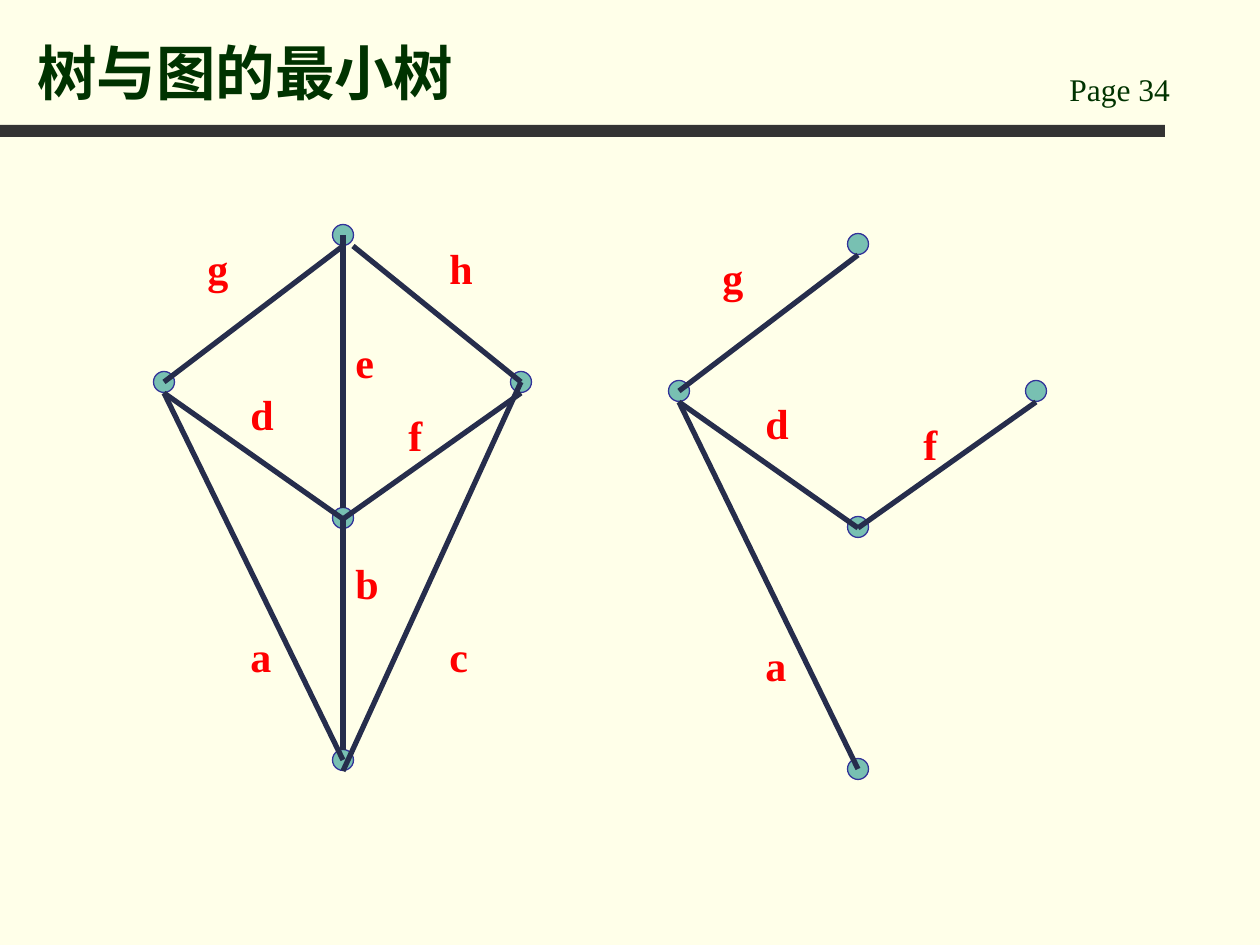
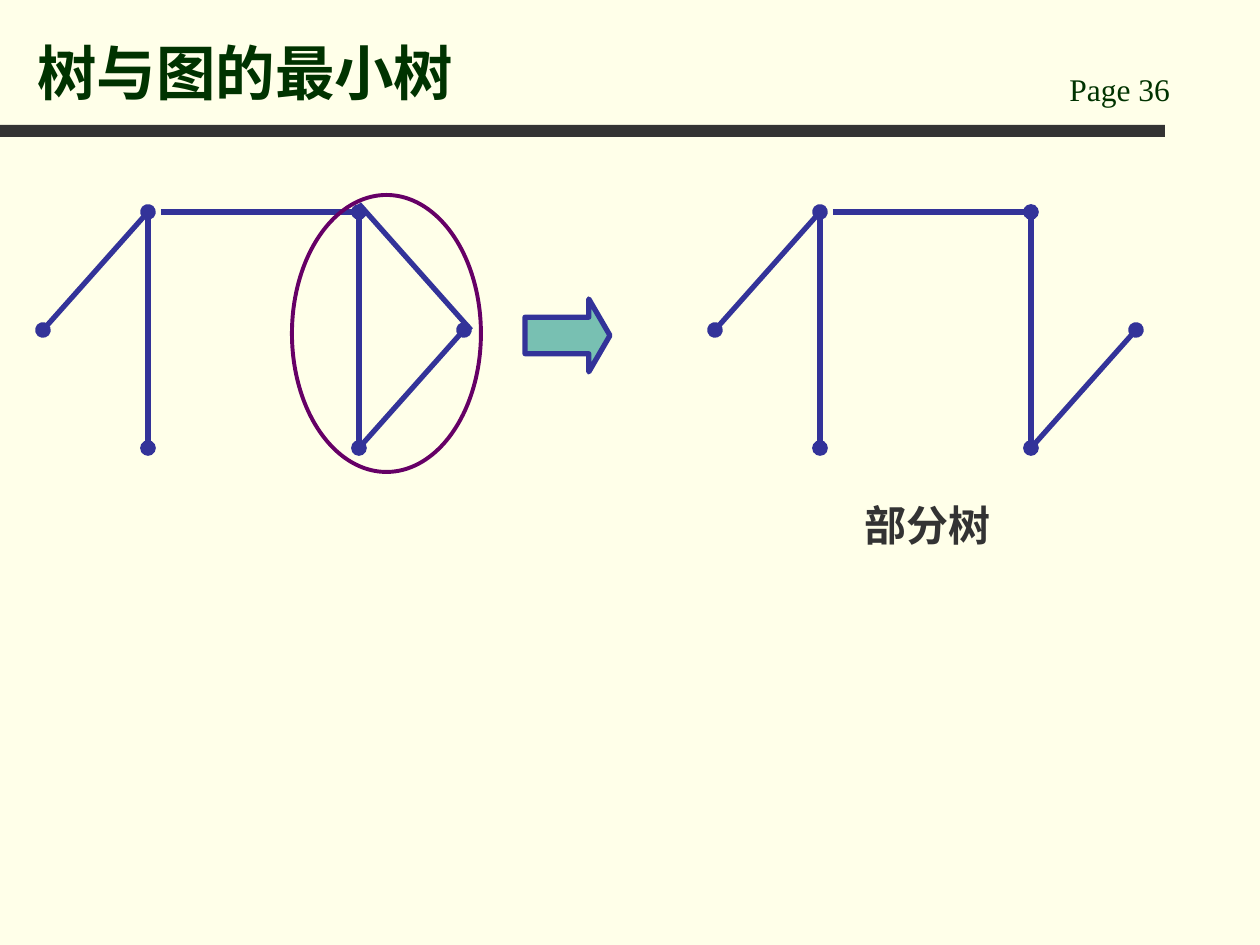
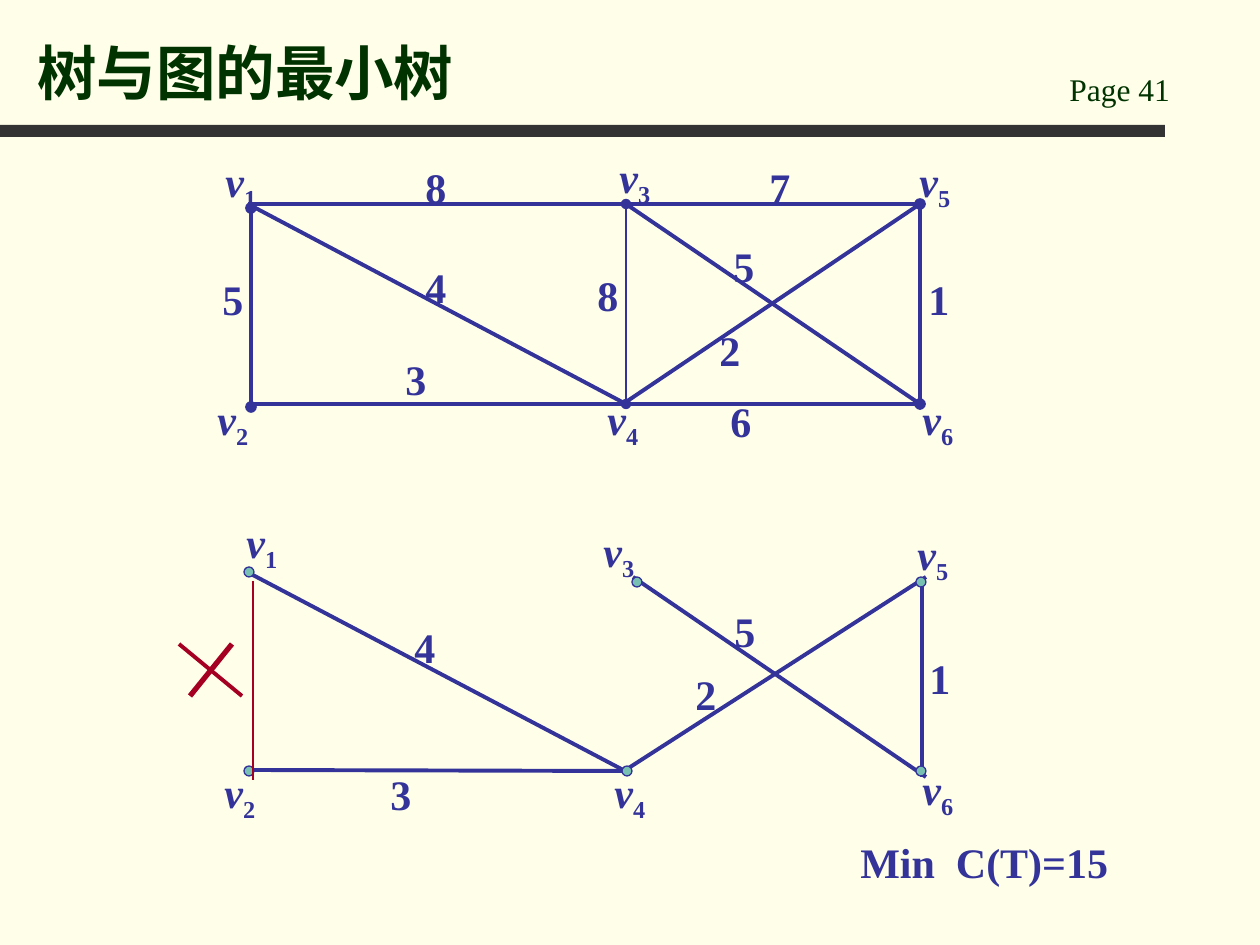
import pptx
import pptx.dml.color
import pptx.enum.shapes
import pptx.enum.text
import pptx.oxml.ns
import pptx.util
from lxml import etree

PX = 914400 / 126
FONT = "Times New Roman"
CREAM, CHARCOAL, GREEN = "FFFFE9", "333333", "003300"
TEAL, INDIGO, NAVY = "78C0B2", "333399", "262D4C"
RED, CRIMSON, PURPLE = "FF0000", "A50021", "660066"
SHAPE = pptx.enum.shapes.MSO_SHAPE
ALIGN = pptx.enum.text.PP_ALIGN
ANCHOR = pptx.enum.text.MSO_ANCHOR
FIT = pptx.enum.text.MSO_AUTO_SIZE


def emu(*lengths):
    return [round(length * PX) for length in lengths]


def rgb(hex_color):
    return pptx.dml.color.RGBColor.from_string(hex_color)


def add_child(parent, tag, **attributes):
    return etree.SubElement(parent, pptx.oxml.ns.qn(tag), attributes)


def add_figure(slide, preset, box, fill=None, outline=None, weight=0.75):
    figure = slide.shapes.add_shape(preset, *emu(*box))
    figure.shadow.inherit = False
    if fill:
        figure.fill.solid()
        figure.fill.fore_color.rgb = rgb(fill)
    else:
        figure.fill.background()
    if outline:
        figure.line.color.rgb = rgb(outline)
        figure.line.width = pptx.util.Pt(weight)
    else:
        figure.line.fill.background()
    return figure


def add_node(slide, x, y, diameter):
    box = (x - diameter / 2, y - diameter / 2, diameter, diameter)
    add_figure(slide, SHAPE.OVAL, box, TEAL, INDIGO)


def add_edge(slide, start, end, color, weight, dots=()):
    """Draw a line; dots names the ends ("head", "tail") that carry a round dot."""
    edge = slide.shapes.add_connector(
        pptx.enum.shapes.MSO_CONNECTOR.STRAIGHT, *emu(*start, *end))
    edge.line.color.rgb = rgb(color)
    edge.line.width = pptx.util.Pt(weight)
    for dot in dots:
        add_child(edge.line._get_or_add_ln(), f"a:{dot}End", type="oval")
    add_child(edge._element.spPr, "a:effectLst")


def add_label(slide, text, box, color, size=24, bold=True, wrap=True):
    label = slide.shapes.add_textbox(*emu(*box))
    frame = label.text_frame
    frame.word_wrap = wrap
    frame.auto_size = FIT.SHAPE_TO_FIT_TEXT
    paragraph = frame.paragraphs[0]
    paragraph.add_run().text = text
    paragraph.font.name = FONT
    paragraph.font.size = pptx.util.Pt(size)
    paragraph.font.bold = bold
    paragraph.font.color.rgb = rgb(color)
    return frame


def add_weight(slide, text, x, y):
    add_label(slide, text, (x, y, 47, 63), INDIGO, wrap=False)


def add_vertex_name(slide, number, x, y):
    frame = add_label(slide, "v", (x, y, 58, 63), INDIGO, wrap=False)
    paragraph = frame.paragraphs[0]
    paragraph.runs[0].font.italic = True
    subscript = paragraph.add_run()
    subscript.text = str(number)
    subscript._r.get_or_add_rPr().set("baseline", "-25000")


def start_slide(deck, page):
    slide = deck.slides.add_slide(deck.slide_layouts[6])
    slide.background.fill.solid()
    slide.background.fill.fore_color.rgb = rgb(CREAM)
    add_figure(slide, SHAPE.RECTANGLE, (0, 125, 1165, 12), CHARCOAL)
    add_label(slide, f"Page {page}", (1057, 64, 179, 50), GREEN, 18, False)
    title = add_label(slide, "树与图的最小树", (25, 16, 1012, 98), GREEN, 34)
    title.auto_size = FIT.NONE
    title.vertical_anchor = ANCHOR.BOTTOM
    return slide


# Graph and its spanning tree: five nodes, edges named by letter
KITE_NODES = [(343, 235), (164, 382), (521, 382), (343, 518), (343, 760)]
KITE_EDGES = {  # letter: (start, end, label corner)
    "g": ((164, 382), (343, 246), (195, 236)),
    "h": ((353, 246), (521, 382), (437, 236)),
    "e": ((343, 235), (343, 508), (343, 330)),
    "d": ((164, 393), (343, 519), (238, 382)),
    "f": ((521, 393), (343, 519), (396, 403)),
    "b": ((343, 519), (343, 750), (343, 551)),
    "a": ((164, 393), (343, 760), (238, 624)),
    "c": ((521, 382), (343, 771), (437, 624)),
}


def draw_kite(slide, letters, dx=0, dy=0):
    def shift(point):
        return point[0] + dx, point[1] + dy

    for node in KITE_NODES:
        add_node(slide, *shift(node), 21)
    for letter in letters:
        start, end, _ = KITE_EDGES[letter]
        add_edge(slide, shift(start), shift(end), NAVY, 3)
    for letter in letters:
        corner = KITE_EDGES[letter][2]
        add_label(slide, letter, (*shift(corner), 53, 63), RED)


# Partial tree: each branch ends in a dot
BRANCHES = [
    ((43, 330), (148, 212), ("head", "tail")),
    ((148, 212), (148, 448), ("tail",)),
    ((161, 212), (359, 212), ("tail",)),
    ((359, 212), (359, 448), ("tail",)),
    ((359, 448), (464, 330), ("tail",)),
]


def draw_branches(slide, dx=0):
    for (x1, y1), (x2, y2), dots in BRANCHES:
        add_edge(slide, (x1 + dx, y1), (x2 + dx, y2), INDIGO, 3, dots)


def name_parts(slide, vertex_corners, weights):
    for number, corner in enumerate(vertex_corners, 1):
        add_vertex_name(slide, number, *corner)
    for text, x, y in weights:
        add_weight(slide, text, x, y)


def draw_weighted_graph(slide):
    left, middle, right, top, bottom = 248, 626, 920, 204, 404
    both = ("head", "tail")
    edges = [
        ((251, 208), (251, 407), 2.25, both),
        ((left, top), (middle, top), 2.25, ()),
        ((left, bottom), (636, bottom), 2.25, ()),
        ((left, top), (middle, bottom), 2.25, ()),
        ((middle, top), (middle, bottom), 0.75, both),
        ((middle, top), (right, top), 2.25, ()),
        ((right, top), (middle, 402), 2.25, ()),
        ((middle, top), (right, bottom), 2.25, ()),
        ((middle, bottom), (right, bottom), 2.25, ()),
        ((right, top), (right, bottom), 2.25, both),
    ]
    for start, end, weight, dots in edges:
        add_edge(slide, start, end, INDIGO, weight, dots)
    name_parts(
        slide,
        [(213, 149), (205, 387), (607, 145), (595, 387), (907, 149), (910, 387)],
        [("5", 210, 267), ("8", 413, 155), ("4", 413, 255), ("3", 393, 347),
         ("7", 757, 155), ("5", 721, 234), ("2", 707, 318), ("6", 718, 389),
         ("1", 916, 267), ("8", 585, 263)])


def draw_minimum_tree(slide):
    edges = [
        ((252, 770), (624, 771)), ((249, 573), (627, 772)),
        ((926, 577), (624, 771)), ((633, 577), (926, 777)),
        ((922, 577), (922, 777)),
    ]
    for start, end in edges:
        add_edge(slide, start, end, INDIGO, 2.25)
    for x, y in [(249, 572), (249, 771), (637, 582),
                 (627, 771), (921, 582), (921, 771)]:
        add_node(slide, x, y, 10)
    name_parts(
        slide,
        [(234, 510), (212, 760), (591, 519), (602, 760), (905, 522), (910, 757)],
        [("4", 402, 615), ("3", 378, 762), ("5", 722, 599),
         ("2", 683, 662), ("1", 917, 646)])
    # Rejected edge with its cross
    add_edge(slide, (253, 581), (253, 780), CRIMSON, 0.75)
    add_edge(slide, (232, 644), (190, 696), CRIMSON, 3)
    add_edge(slide, (179, 644), (242, 696), CRIMSON, 2.25)


def main():
    deck = pptx.Presentation()
    deck.slide_width, deck.slide_height = emu(1260, 945)

    # Graph beside one of its trees
    slide = start_slide(deck, 34)
    draw_kite(slide, "gdfa", 515, 9)
    draw_kite(slide, "ghedfbac")

    # Breaking a cycle
    slide = start_slide(deck, 36)
    draw_branches(slide)
    add_edge(slide, (471, 330), (359, 204), INDIGO, 3)
    draw_branches(slide, 672)
    arrow = add_figure(slide, SHAPE.RIGHT_ARROW, (525, 299, 85, 73),
                       TEAL, INDIGO, 3)
    arrow.adjustments[1] = 0.29
    add_figure(slide, SHAPE.OVAL, (292, 195, 189, 277),
               outline=PURPLE, weight=2.25)
    caption = add_label(slide, "部分树", (809, 483, 238, 73), CHARCOAL)
    caption.paragraphs[0].alignment = ALIGN.CENTER
    caption.paragraphs[0].line_spacing = 1.2

    # Weighted graph and its minimum tree
    slide = start_slide(deck, 41)
    draw_weighted_graph(slide)
    draw_minimum_tree(slide)
    add_label(slide, "Min  C(T)=15", (848, 830, 315, 63), INDIGO)

    deck.save("out.pptx")


if __name__ == "__main__":
    main()
